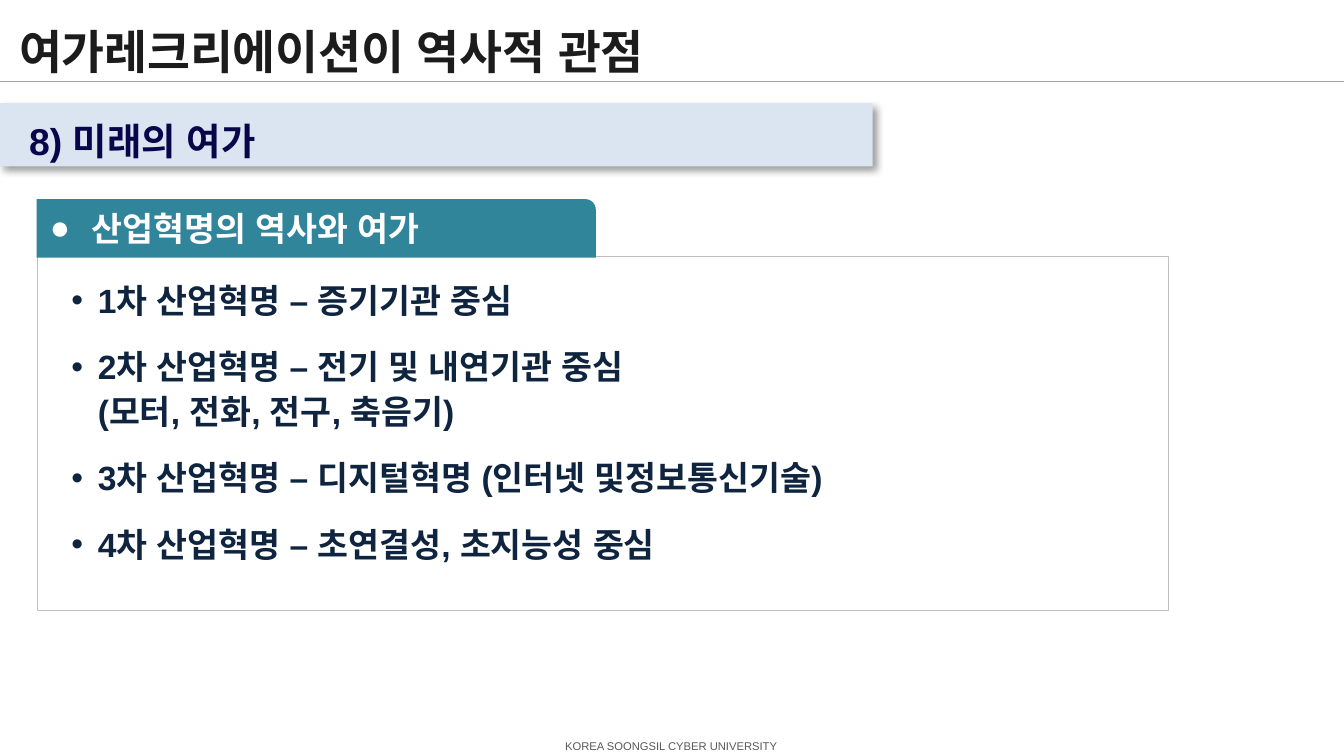
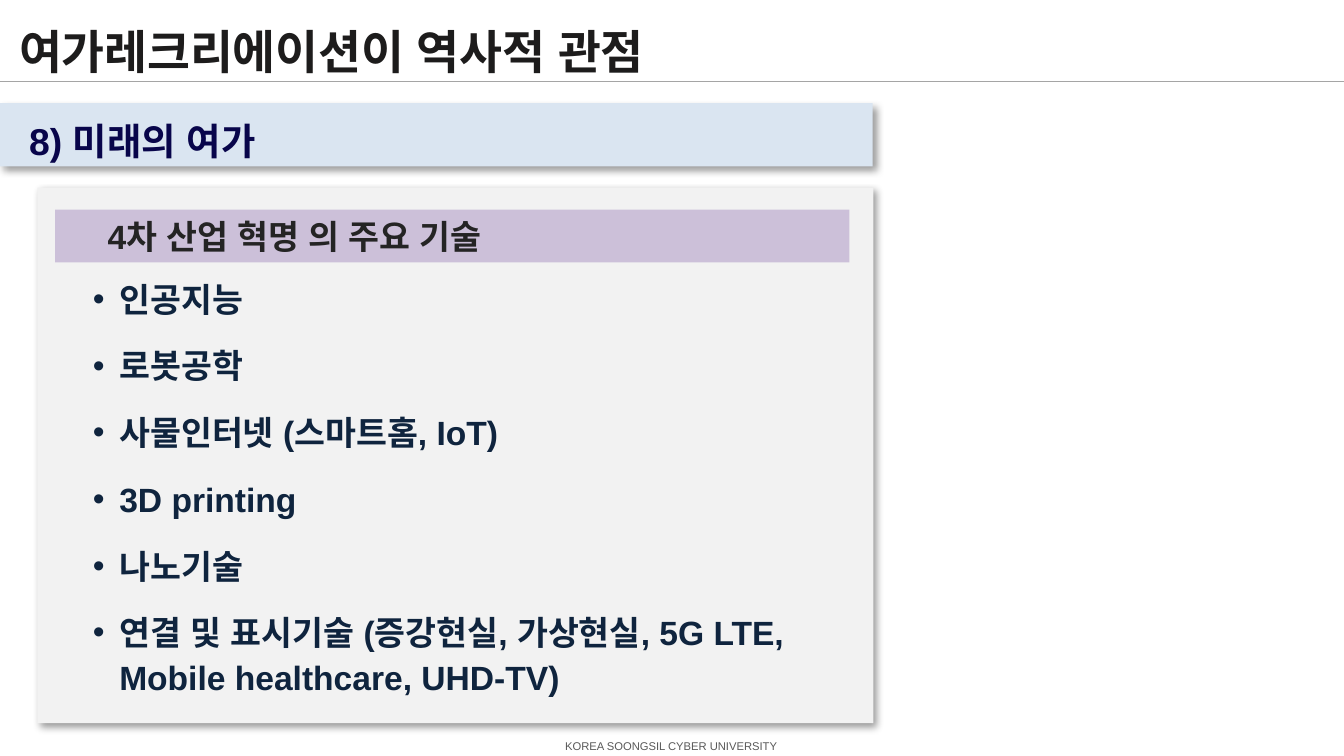
"""Builds two slides on the future of leisure and the industrial revolutions."""
from lxml.etree import SubElement
from pptx import Presentation
from pptx.dml.color import RGBColor as Rgb
from pptx.enum.lang import MSO_LANGUAGE_ID as Lang
from pptx.enum.shapes import MSO_CONNECTOR as Link, MSO_SHAPE as Kind
from pptx.enum.text import MSO_ANCHOR as Anchor, MSO_AUTO_SIZE as Fit, PP_ALIGN as Align
from pptx.oxml.ns import qn
from pptx.util import Pt

theme = {
    "font": "Arial",
    "title": "1D1C1C", "band": "DAE5F1", "head": "08054B", "list": "0F243E",
    "rule": "A5A5A5", "foot": "595959", "frame": "BFBFBF", "white": "FFFFFF",
    "teal": "31859B", "grey": "F2F2F2", "lilac": "CCC0D9", "dark": "242424",
    "shade": "000000",
    "title_size": 25, "head_size": 20, "list_size": 18, "foot_size": 6,
}


def write(shape, text, color, size, bold=True, align=Align.LEFT, anchor=Anchor.TOP,
          space=1.0, gap=0, left=0, hang=0, bullet=None):
    """Fill a shape with paragraphs, one for each line of text."""
    frame = shape.text_frame
    frame.word_wrap = True
    frame.auto_size = Fit.NONE
    frame.vertical_anchor = anchor
    for i, line in enumerate(text.split("\n")):
        para = frame.add_paragraph() if i else frame.paragraphs[0]
        para.text = line
        para.alignment = align
        para.line_spacing = space
        para.space_before = Pt(gap if i else 0)
        para.space_after = Pt(0)
        props = para._p.get_or_add_pPr()
        props.set("marL", str(Pt(left)))
        props.set("indent", str(Pt(-hang)))
        if bullet:
            tint = SubElement(props, qn("a:buClr"))
            SubElement(tint, qn("a:srgbClr"), val=theme[color])
            SubElement(props, qn("a:buFont"), typeface=theme["font"])
            SubElement(props, qn("a:buChar"), char=bullet)
        else:
            SubElement(props, qn("a:buNone"))
        for stop in para._p.findall(qn("a:br")):
            SubElement(stop, qn("a:rPr"), sz=str(size * 100))
        for run in para.runs:
            font = run.font
            font.name = theme["font"]
            font.size = Pt(size)
            font.bold = bold
            font.color.rgb = Rgb.from_string(theme[color])
            font.language_id = Lang.KOREAN
            SubElement(run._r.rPr, qn("a:ea"), typeface=theme["font"])


def panel(slide, box, fill, kind=Kind.RECTANGLE, line=None, round=None, shade=False):
    """Draw a filled shape, with an outline or a shadow on request."""
    shape = slide.shapes.add_shape(kind, *map(Pt, box))
    shape.shadow.inherit = False
    shape.fill.solid()
    shape.fill.fore_color.rgb = Rgb.from_string(theme[fill])
    if line:
        shape.line.color.rgb = Rgb.from_string(theme[line])
        shape.line.width = Pt(0.75)
    else:
        shape.line.fill.background()
    if round is not None:
        shape.adjustments[0] = round
    if shade:
        effects = shape._element.spPr.find(qn("a:effectLst"))
        cast = SubElement(effects, qn("a:outerShdw"), blurRad=str(Pt(4)), dist=str(Pt(3)),
                          dir="2700000", algn="tl", rotWithShape="0")
        tint = SubElement(cast, qn("a:srgbClr"), val=theme["shade"])
        SubElement(tint, qn("a:alpha"), val="40000")
    return shape


deck = Presentation()
deck.slide_width, deck.slide_height = Pt(720), Pt(405)

ages = """1차 산업혁명 – 증기기관 중심
2차 산업혁명 – 전기 및 내연기관 중심\v(모터, 전화, 전구, 축음기)
3차 산업혁명 – 디지털혁명 (인터넷 및정보통신기술)
4차 산업혁명 – 초연결성, 초지능성 중심"""
skills = """인공지능
로봇공학
사물인터넷 (스마트홈, IoT)
3D printing
나노기술
연결 및 표시기술 (증강현실, 가상현실, 5G LTE, Mobile healthcare, UHD-TV)"""

pages = [
    {
        "panel": {"box": (20, 137.5, 606, 189.5), "fill": "white", "line": "frame"},
        "tab": {"box": (19.7, 106.7, 299.5, 31.3), "fill": "teal", "round": 0.18},
        "label": {"text": "산업혁명의 역사와 여가", "color": "white",
                  "left": 22.5, "hang": 22.5, "bullet": "●"},
        "box": (31, 144, 591, 163.5), "list": ages,
    },
    {
        "panel": {"box": (20, 100.5, 448, 287), "fill": "grey", "shade": True},
        "tab": {"box": (29.5, 112.3, 425.5, 28.2), "fill": "lilac", "round": 0},
        "label": {"text": "4차 산업 혁명 의 주요 기술", "color": "dark", "left": 21},
        "box": (42.5, 143.5, 431, 234), "list": skills,
    },
]

for page in pages:
    slide = deck.slides.add_slide(deck.slide_layouts[1])
    title, body = slide.placeholders
    places = [(title, (3, 10, 601, 34)), (body, page["box"])]
    for holder, box in places:
        holder.left, holder.top, holder.width, holder.height = map(Pt, box)
    write(title, "여가레크리에이션이 역사적 관점", "title", theme["title_size"],
          anchor=Anchor.MIDDLE)

    rule = slide.shapes.add_connector(Link.STRAIGHT, 0, Pt(43.7), Pt(720), Pt(43.7))
    rule.line.color.rgb = Rgb.from_string(theme["rule"])
    rule.line.width = Pt(0.75)
    SubElement(rule._element.spPr, qn("a:effectLst"))

    foot = slide.shapes.add_textbox(Pt(249), Pt(392.5), Pt(221), Pt(14.5))
    write(foot, "KOREA SOONGSIL CYBER UNIVERSITY", "foot", theme["foot_size"],
          bold=False, align=Align.CENTER)

    panel(slide, (0, 55.2, 467.5, 34), "band", shade=True)
    head = slide.shapes.add_textbox(Pt(8.5), Pt(55.2), Pt(451), Pt(34))
    write(head, "8) 미래의 여가", "head", theme["head_size"], space=1.2)

    panel(slide, **page["panel"])
    tab = panel(slide, kind=Kind.ROUND_1_RECTANGLE, **page["tab"])
    write(tab, size=theme["list_size"], anchor=Anchor.MIDDLE, **page["label"])

    body._element.getparent().append(body._element)
    write(body, page["list"], "list", theme["list_size"], space=1.1, gap=12,
          left=14.2, hang=14.2, bullet="•")

deck.save("out.pptx")
